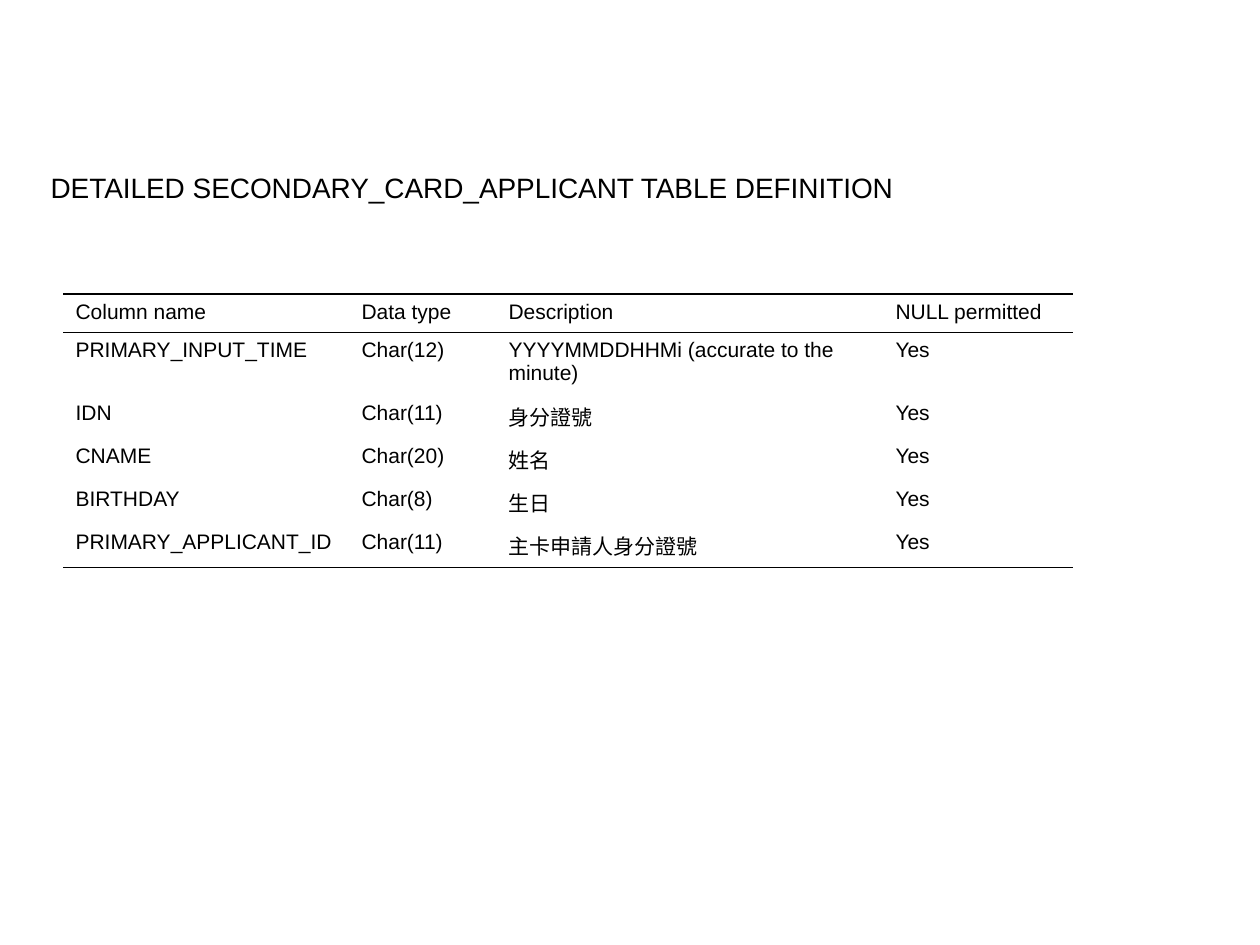
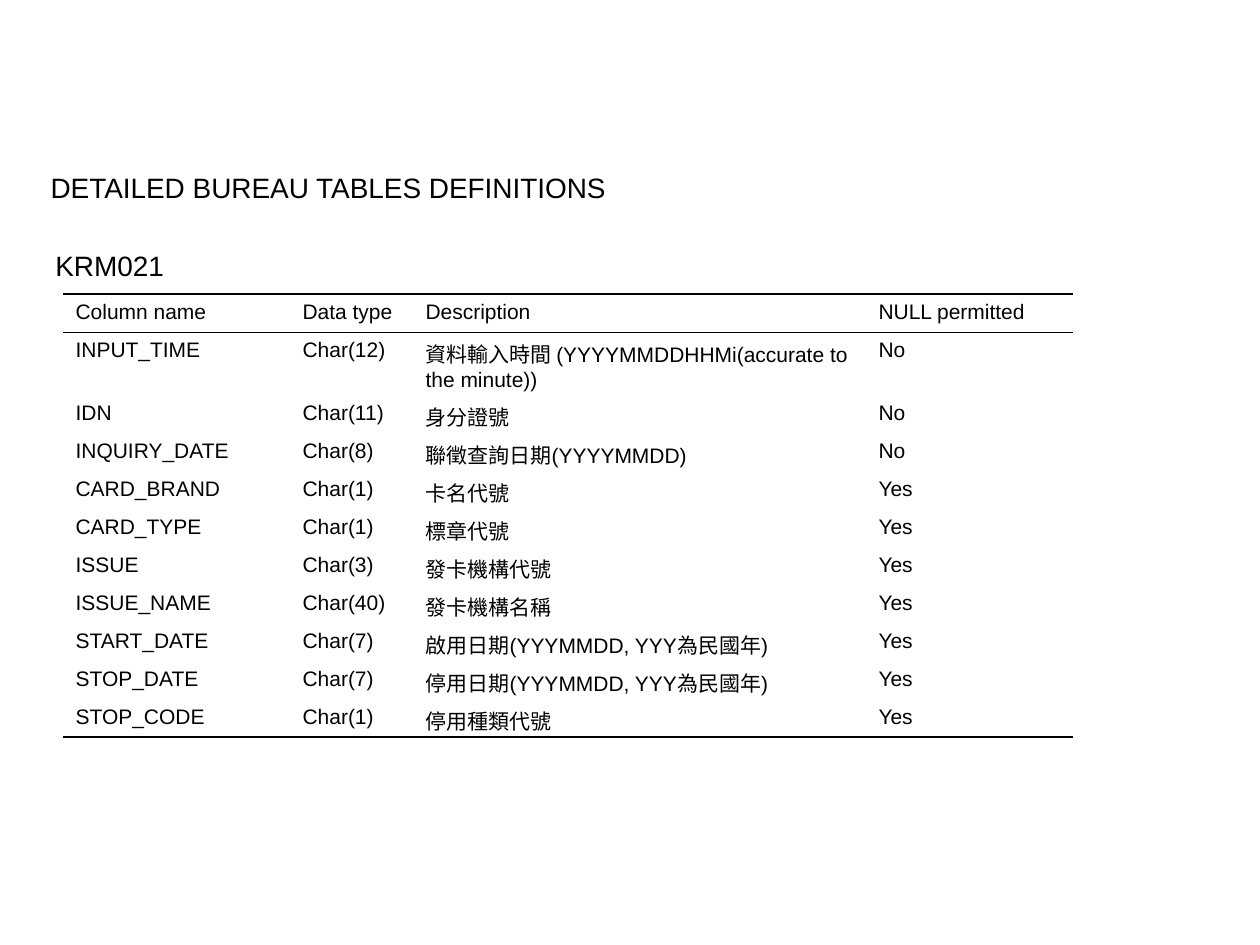
from dataclasses import dataclass

from lxml import etree
from pptx import Presentation
from pptx.dml.color import RGBColor
from pptx.enum.text import MSO_ANCHOR, MSO_AUTO_SIZE, PP_ALIGN
from pptx.oxml.ns import qn
from pptx.util import Emu, Pt

TOP = MSO_ANCHOR.TOP
LEFT = PP_ALIGN.LEFT
GROW = MSO_AUTO_SIZE.SHAPE_TO_FIT_TEXT
FIXED = MSO_AUTO_SIZE.NONE

SCALE = 914400 / 126
COLORS = {"ink": "000000", "paper": "FFFFFF"}
FONT = "Arial"
HEAD_SIZE, CELL_SIZE = 16, 12
THICK, THIN = 0.75, 0.45
ROW, TALL = 38, 63
PAD_X, PAD_Y = 0.1, 0.05


@dataclass(frozen=True)
class Box:
    x: int
    y: int
    w: int
    h: int


@dataclass(frozen=True)
class Page:
    title: str
    label: str
    widths: tuple[int, ...]
    rows: tuple[tuple[str, ...], ...]


TITLE = Box(38, 164, 1171, 47)
LABEL = Box(43, 242, 134, 47)
GRID = Box(63, 294, 1010, ROW)
HEADER = ("Column name", "Data type", "Description", "NULL permitted")

PAGES = (
    Page(
        "DETAILED SECONDARY_CARD_APPLICANT TABLE DEFINITION",
        "",
        (286, 147, 387, 190),
        (
            ("PRIMARY_INPUT_TIME", "Char(12)", "YYYYMMDDHHMi (accurate to the minute)", "Yes"),
            ("IDN", "Char(11)", "身分證號", "Yes"),
            ("CNAME", "Char(20)", "姓名", "Yes"),
            ("BIRTHDAY", "Char(8)", "生日", "Yes"),
            ("PRIMARY_APPLICANT_ID", "Char(11)", "主卡申請人身分證號", "Yes"),
        ),
    ),
    Page(
        "DETAILED BUREAU TABLES DEFINITIONS",
        "KRM021",
        (227, 123, 453, 207),
        (
            ("INPUT_TIME", "Char(12)", "資料輸入時間 (YYYYMMDDHHMi(accurate to the minute))", "No"),
            ("IDN", "Char(11)", "身分證號", "No"),
            ("INQUIRY_DATE", "Char(8)", "聯徵查詢日期(YYYYMMDD)", "No"),
            ("CARD_BRAND", "Char(1)", "卡名代號", "Yes"),
            ("CARD_TYPE", "Char(1)", "標章代號", "Yes"),
            ("ISSUE", "Char(3)", "發卡機構代號", "Yes"),
            ("ISSUE_NAME", "Char(40)", "發卡機構名稱", "Yes"),
            ("START_DATE", "Char(7)", "啟用日期(YYYMMDD, YYY為民國年)", "Yes"),
            ("STOP_DATE", "Char(7)", "停用日期(YYYMMDD, YYY為民國年)", "Yes"),
            ("STOP_CODE", "Char(1)", "停用種類代號", "Yes"),
        ),
    ),
)


def px(size: int) -> Emu:
    return Emu(round(size * SCALE))


def place(box: Box) -> tuple[Emu, ...]:
    return px(box.x), px(box.y), px(box.w), px(box.h)


def pad(part) -> None:
    part.margin_left = part.margin_right = Emu(int(PAD_X * 914400))
    part.margin_top = part.margin_bottom = Emu(int(PAD_Y * 914400))
    part.vertical_anchor = TOP


def write(frame, text: str, size: int) -> None:
    frame.text = text
    para = frame.paragraphs[0]
    para.alignment = LEFT
    para.line_spacing = 1.0
    para.space_before = Pt(0)
    para.font.name = FONT
    para.font.size = Pt(size)
    para.font.bold = False
    para.font.color.rgb = RGBColor.from_string(COLORS["ink"])


def add_title(slide, text: str) -> None:
    shape = slide.shapes.title
    shape.left, shape.top, shape.width, shape.height = place(TITLE)
    frame = shape.text_frame
    frame.word_wrap = True
    frame.auto_size = FIXED
    pad(frame)
    write(frame, text, HEAD_SIZE)


def add_label(slide, text: str) -> None:
    frame = slide.shapes.add_textbox(*place(LABEL)).text_frame
    frame.word_wrap = False
    frame.auto_size = GROW
    pad(frame)
    write(frame, text, HEAD_SIZE)


def add_edge(cell, side: str, width: float) -> None:
    props = cell._tc.get_or_add_tcPr()
    line = etree.SubElement(props, qn(f"a:ln{side}"), w=str(int(Pt(width))))
    if width:
        fill = etree.SubElement(line, qn("a:solidFill"))
        etree.SubElement(fill, qn("a:srgbClr"), val=COLORS["ink"])
    else:
        etree.SubElement(line, qn("a:noFill"))


def add_grid(slide, page: Page) -> None:
    rows = (HEADER, *page.rows)
    table = slide.shapes.add_table(len(rows), len(HEADER), *place(GRID)).table
    table.first_row = table.horz_banding = False
    for col, width in zip(table.columns, page.widths):
        col.width = px(width)
    rules = [THICK, THIN] + [0] * (len(rows) - 2) + [THICK]
    for i, texts in enumerate(rows):
        table.rows[i].height = px(TALL if i == 1 else ROW)
        edges = {"L": 0, "R": 0, "T": rules[i], "B": rules[i + 1]}
        for j, text in enumerate(texts):
            cell = table.cell(i, j)
            pad(cell)
            for side, width in edges.items():
                add_edge(cell, side, width)
            cell.fill.background()
            write(cell.text_frame, text, CELL_SIZE)


def main() -> None:
    deck = Presentation()
    deck.slide_width, deck.slide_height = px(1260), px(945)
    for page in PAGES:
        slide = deck.slides.add_slide(deck.slide_layouts[5])
        fill = slide.background.fill
        fill.solid()
        fill.fore_color.rgb = RGBColor.from_string(COLORS["paper"])
        add_title(slide, page.title)
        if page.label:
            add_label(slide, page.label)
        add_grid(slide, page)
    deck.save("out.pptx")


if __name__ == "__main__":
    main()
